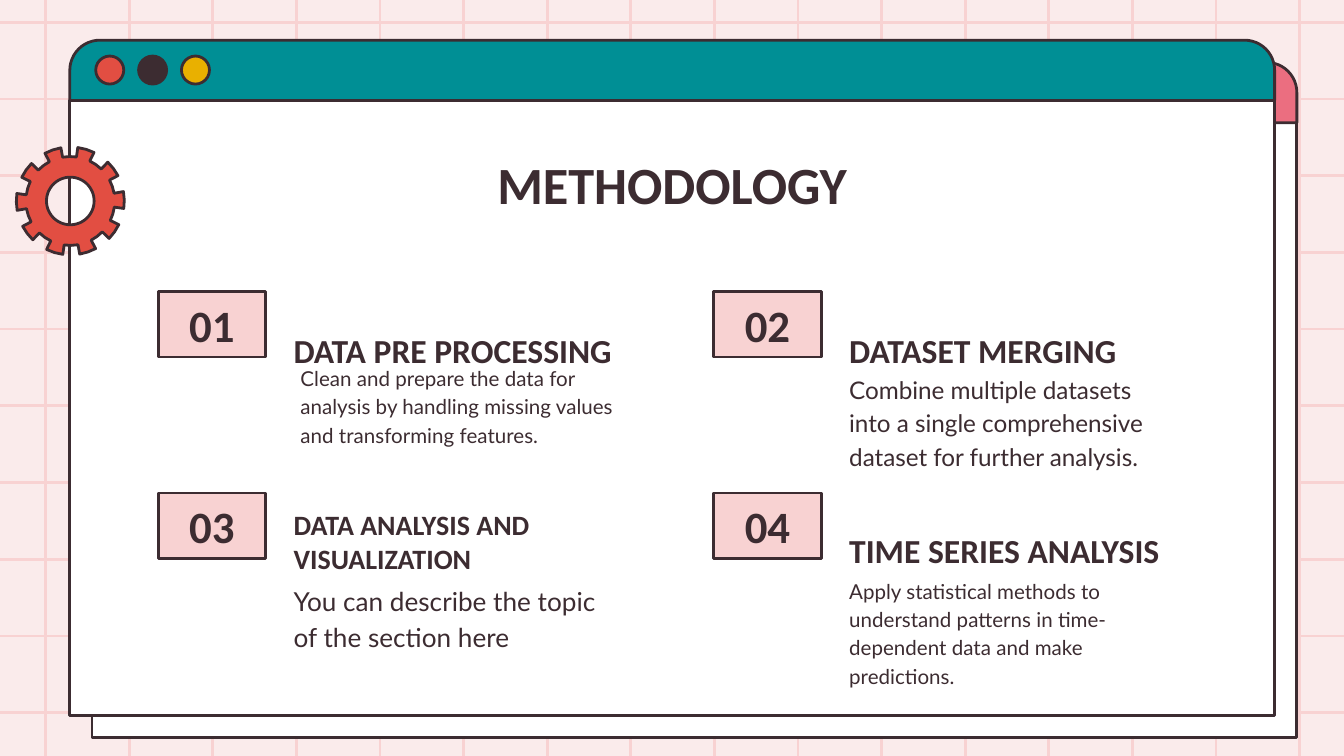
from math import cos, radians, sin

from pptx import Presentation
from pptx.dml.color import RGBColor
from pptx.enum.shapes import MSO_CONNECTOR, MSO_SHAPE
from pptx.enum.text import MSO_ANCHOR, PP_ALIGN
from pptx.oxml.ns import qn
from pptx.util import Cm, Pt
from lxml.etree import SubElement

WIDTH, HEIGHT = 25.4, 14.29
INK, PINK, RED, WHITE = "3C2C31", "F8D2D2", "E24E42", "FFFFFF"
DOTS = (RED, INK, "E9B000")
WINDOW_WIDTH, BAR_HEIGHT, BODY_HEIGHT = 22.77, 1.14, 11.62
COLUMNS, ROWS = (2.99, 13.49), (5.51, 9.32)
STEPS = [
    ("DATA PRE PROCESSING", 18, 5.16,
     "Clean and prepare the data for analysis by handling missing values "
     "and transforming features.", 11, 2.44, 6.6),
    ("DATASET MERGING", 18, 5.16,
     "Combine multiple datasets into a single comprehensive dataset for "
     "further analysis.", 13, 2.31, 6.76),
    ("DATA ANALYSIS AND VISUALIZATION", 15, 9.04,
     "You can describe the topic of the section here", 14, 2.31, 10.72),
    ("TIME SERIES ANALYSIS", 18, 8.94,
     "Apply statistical methods to understand patterns in time-dependent "
     "data and make predictions.", 11, 2.31, 10.62),
]


def rgb(color):
    """Turn a hex string into a colour."""
    return RGBColor.from_string(color)


def style(sp, fill):
    """Give a shape a flat fill and the dark outline."""
    sp.shadow.inherit = False
    sp.fill.solid()
    sp.fill.fore_color.rgb = rgb(fill)
    sp.line.color.rgb = rgb(INK)
    sp.line.width = Pt(1.5)


def add_shape(s, kind, x, y, w, h, fill):
    """Add an outlined preset shape."""
    sp = s.shapes.add_shape(kind, Cm(x), Cm(y), Cm(w), Cm(h))
    style(sp, fill)
    return sp


def write(sp, text, size=11, font="Calibri", bold=True, align=PP_ALIGN.LEFT,
          anchor=MSO_ANCHOR.TOP, spacing=1.0):
    """Write one formatted paragraph into a shape."""
    tf = sp.text_frame
    tf.word_wrap = True
    tf.vertical_anchor = anchor
    tf.margin_left = tf.margin_right = tf.margin_top = tf.margin_bottom = Cm(0.25)
    p = tf.paragraphs[0]
    p.alignment = align
    p.line_spacing = spacing
    r = p.add_run()
    r.text = text
    r.font.size = Pt(size)
    r.font.name = font
    r.font.bold = bold
    r.font.color.rgb = rgb(INK)


def add_text(s, x, y, w, h, text, **fmt):
    """Add a text box."""
    write(s.shapes.add_textbox(Cm(x), Cm(y), Cm(w), Cm(h)), text, **fmt)


def add_line(s, x1, y1, x2, y2):
    """Add one pale grid line."""
    line = s.shapes.add_connector(MSO_CONNECTOR.STRAIGHT, Cm(x1), Cm(y1), Cm(x2), Cm(y2))
    line.line.color.rgb = rgb(PINK)
    line.line.width = Pt(1.5)
    SubElement(line._element.spPr, qn("a:effectLst"))


def add_grid(s):
    """Draw the background grid."""
    for i in range(16):
        x = 0.86 + 1.58 * i
        add_line(s, x, 0, x, HEIGHT)
    for i in range(10):
        y = 0.42 + 1.45 * i
        add_line(s, 0, y, WIDTH, y)


def add_window(s, x, y, bar_fill):
    """Draw a browser window with three buttons."""
    add_shape(s, MSO_SHAPE.RECTANGLE, x, y + BAR_HEIGHT, WINDOW_WIDTH, BODY_HEIGHT, WHITE)
    bar = add_shape(s, MSO_SHAPE.ROUND_2_SAME_RECTANGLE, x, y, WINDOW_WIDTH, BAR_HEIGHT, bar_fill)
    bar.adjustments[0] = 0.5
    for i, color in enumerate(DOTS):
        add_shape(s, MSO_SHAPE.OVAL, x + 0.49 + 0.81 * i, y + 0.3, 0.53, 0.53, color)


def add_gear(s, cx, cy, outer=1.02, root=0.84, hole=0.45, teeth=10):
    """Draw a gear with a round hole."""
    def point(radius, angle):
        """Return a point on a circle around the gear's centre."""
        a = radians(angle)
        return Cm(cx + radius * cos(a)), Cm(cy + radius * sin(a))

    pitch = 360 / teeth
    profile = [(root, -9), (outer, -9), (outer, 0), (outer, 9), (root, 9), (root, 18)]
    rim = [point(radius, pitch * i + angle - 1)
           for i in range(teeth) for radius, angle in profile]
    bore = [point(hole, -angle) for angle in range(0, 360, 6)]
    builder = s.shapes.build_freeform(*rim[0])
    builder.add_line_segments(rim[1:], close=True)
    builder.move_to(*bore[0])
    builder.add_line_segments(bore[1:], close=True)
    style(builder.convert_to_shape(), RED)


def add_step(s, i, heading, heading_size, heading_y, body, body_size, body_dx, body_y):
    """Add a numbered box with its heading and description."""
    x, y = COLUMNS[i % 2], ROWS[i // 2]
    box = add_shape(s, MSO_SHAPE.RECTANGLE, x, y, 2.03, 1.24, PINK)
    write(box, f"{i + 1:02d}", size=24, align=PP_ALIGN.CENTER, anchor=MSO_ANCHOR.MIDDLE)
    add_text(s, x + 2.31, heading_y, 6.6, 2.08, heading,
             size=heading_size, anchor=MSO_ANCHOR.BOTTOM)
    add_text(s, x + body_dx, body_y, 6.6, 1.6, body,
             size=body_size, font="Lato", bold=False, spacing=1.15)


def main():
    """Build the methodology slide."""
    prs = Presentation()
    prs.slide_width, prs.slide_height = Cm(WIDTH), Cm(HEIGHT)
    s = prs.slides.add_slide(prs.slide_layouts[6])
    s.background.fill.solid()
    s.background.fill.fore_color.rgb = rgb("FAEBEB")
    add_grid(s)
    add_window(s, 1.74, 1.18, "EB6E80")
    add_window(s, 1.32, 0.76, "008F95")
    add_text(s, 2.49, 2.62, 20.42, 1.6, "METHODOLOGY", size=28, align=PP_ALIGN.CENTER)
    for i, step in enumerate(STEPS):
        add_step(s, i, *step)
    add_gear(s, 1.33, 3.8)
    prs.save("out.pptx")


if __name__ == "__main__":
    main()
